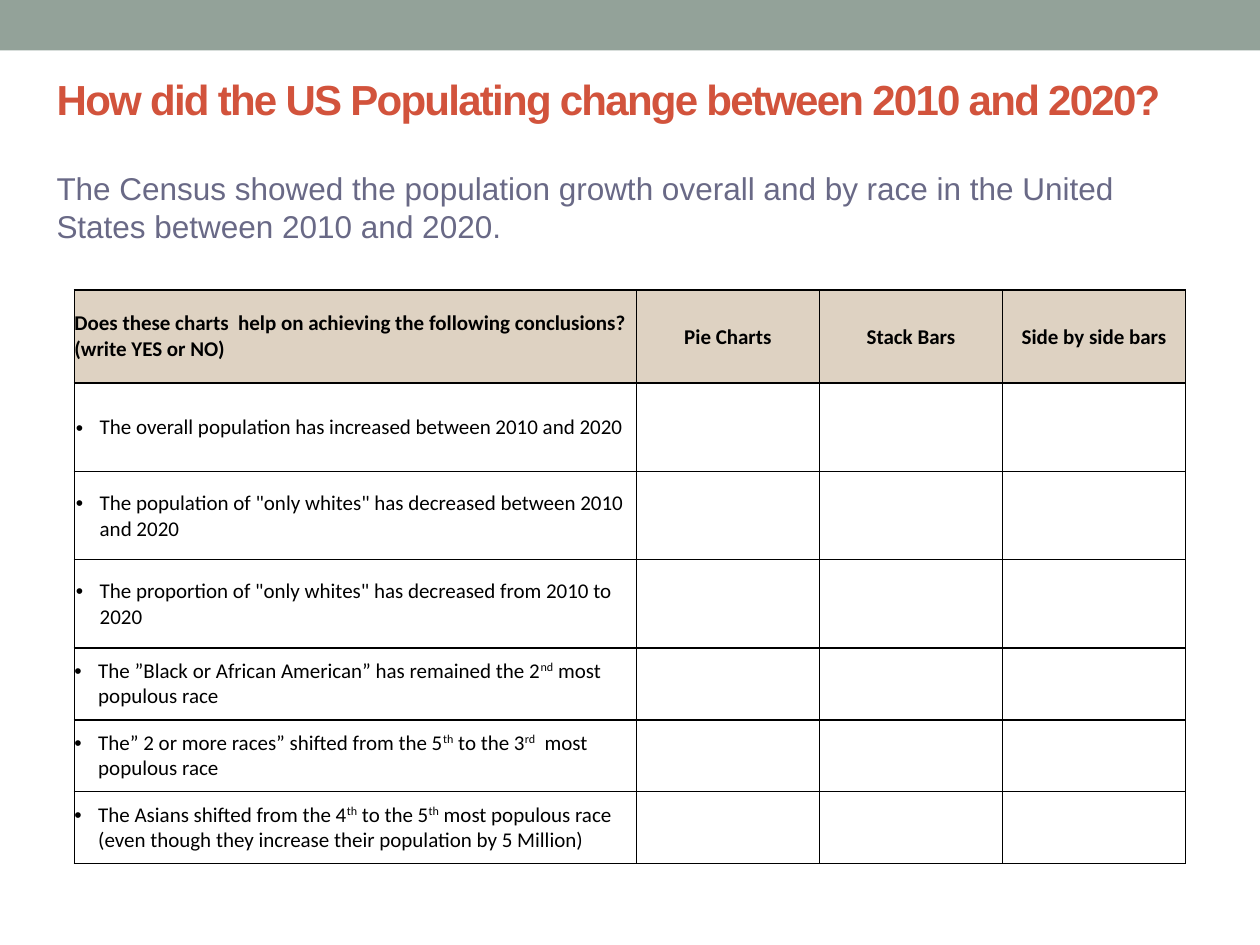
from dataclasses import dataclass

from lxml import etree
from pptx import Presentation
from pptx.dml.color import RGBColor
from pptx.enum.shapes import MSO_SHAPE
from pptx.enum.text import MSO_ANCHOR, MSO_AUTO_SIZE, PP_ALIGN
from pptx.oxml.ns import qn
from pptx.util import Cm, Pt

RECT = MSO_SHAPE.RECTANGLE
MIDDLE = MSO_ANCHOR.MIDDLE
NO_FIT = MSO_AUTO_SIZE.NONE
LEFT, CENTER = PP_ALIGN.LEFT, PP_ALIGN.CENTER
BLACK = "000000"
SIDES = ("a:lnL", "a:lnR", "a:lnT", "a:lnB")


@dataclass
class Style:
    font: str
    size: float
    color: str
    bold: bool = False


@dataclass
class Claim:
    text: str  # parts between ^ marks are raised
    height: float
    pad: float = 0


TITLE = Style("Arial", 24, "D2533C", True)
LEAD = Style("Arial", 18, "696986")
HEAD = Style("Calibri", 12, BLACK, True)
BODY = Style("Calibri", 12, BLACK)

WIDTHS = (11.33, 3.69, 3.69, 3.69)
HEAD_H = 1.87
HEADS = (
    "Does these charts  help on achieving the following conclusions? (write YES or NO)",
    "Pie Charts",
    "Stack Bars",
    "Side by side bars",
)
CLAIMS = (
    Claim("The overall population has increased between 2010 and 2020", 1.78, 0.03),
    Claim('The population of "only whites" has decreased between 2010 and 2020', 1.78, 0.03),
    Claim('The proportion of "only whites" has decreased from 2010 to 2020', 1.78, 0.03),
    Claim("The ”Black or African American” has remained the 2^nd^ most populous race", 1.45),
    Claim("The” 2 or more races” shifted from the 5^th^ to the 3^rd^  most populous race", 1.45),
    Claim("The Asians shifted from the 4^th^ to the 5^th^ most populous race "
          "(even though they increase their population by 5 Million)", 1.45),
)


def rgb(code: str) -> RGBColor:
    return RGBColor.from_string(code)


def write(para, text: str, style: Style, align=LEFT) -> None:
    """Add the runs of a text, raising every part between ^ marks."""
    para.alignment = align
    for i, part in enumerate(text.split("^")):
        run = para.add_run()
        run.text = part
        font = run.font
        font.name, font.size, font.bold = style.font, Pt(style.size), style.bold
        font.color.rgb = rgb(style.color)
        if i % 2:
            run._r.get_or_add_rPr().set("baseline", "30000")


def bullet(para) -> None:
    props = para._p.get_or_add_pPr()
    props.set("marL", str(Cm(0.48)))
    props.set("indent", str(-Cm(0.48)))
    etree.SubElement(props, qn("a:buFont")).set("typeface", "Arial")
    etree.SubElement(props, qn("a:buChar")).set("char", "•")


def frame(cell) -> None:
    """Draw a thin black line on all four sides of a cell."""
    props = cell._tc.get_or_add_tcPr()
    for side in SIDES:
        line = etree.SubElement(props, qn(side), w=str(Pt(1)))
        fill = etree.SubElement(line, qn("a:solidFill"))
        etree.SubElement(fill, qn("a:srgbClr"), val=BLACK)


def inset(cell, pad: float) -> None:
    cell.vertical_anchor = MIDDLE
    cell.margin_left = cell.margin_right = cell.margin_top = Cm(pad)
    cell.margin_bottom = 0


def add_band(slide) -> None:
    band = slide.shapes.add_shape(RECT, 0, 0, Cm(25.4), Cm(1.02))
    band.shadow.inherit = False
    band.fill.solid()
    band.fill.fore_color.rgb = rgb("93A299")
    band.line.fill.background()


def add_title(slide) -> None:
    title = slide.shapes.title
    title.left, title.top = Cm(0.89), Cm(1.12)
    title.width, title.height = Cm(24.51), Cm(1.73)
    box = title.text_frame
    box.auto_size, box.vertical_anchor = NO_FIT, MIDDLE
    para = box.paragraphs[0]
    write(para, "How did the US Populating change between 2010 and 2020?", TITLE)
    para.runs[0]._r.get_or_add_rPr().set("spc", "-100")


def add_lead(slide) -> None:
    box = slide.shapes.add_textbox(Cm(0.89), Cm(3.28), Cm(23.52), Cm(4.27)).text_frame
    box.word_wrap = True
    para = box.paragraphs[0]
    para.space_before = Pt(20)
    write(para, "The Census showed the population growth overall and by race "
          "in the United States between 2010 and 2020.", LEAD)


def add_grid(slide) -> None:
    heights = [HEAD_H] + [claim.height for claim in CLAIMS]
    grid = slide.shapes.add_table(len(heights), len(WIDTHS), Cm(1.5), Cm(5.85),
                                  Cm(sum(WIDTHS)), Cm(sum(heights))).table
    grid.first_row = grid.horz_banding = False
    for col, width in zip(grid.columns, WIDTHS):
        col.width = Cm(width)
    for row, height in zip(grid.rows, heights):
        row.height = Cm(height)
    for cell in grid.iter_cells():
        frame(cell)
        cell.fill.background()

    for i, text in enumerate(HEADS):
        cell = grid.cell(0, i)
        cell.fill.solid()
        cell.fill.fore_color.rgb = rgb("DED2C2")
        inset(cell, 0.03 if i else 0)
        write(cell.text_frame.paragraphs[0], text, HEAD, CENTER if i else LEFT)
    for i, claim in enumerate(CLAIMS, 1):
        cell = grid.cell(i, 0)
        inset(cell, claim.pad)
        para = cell.text_frame.paragraphs[0]
        bullet(para)
        write(para, claim.text, BODY)


def main() -> None:
    deck = Presentation()
    deck.slide_width, deck.slide_height = Cm(25.4), Cm(19.05)
    slide = deck.slides.add_slide(deck.slide_layouts[5])
    add_band(slide)
    add_title(slide)
    add_lead(slide)
    add_grid(slide)
    deck.save("out.pptx")


if __name__ == "__main__":
    main()
